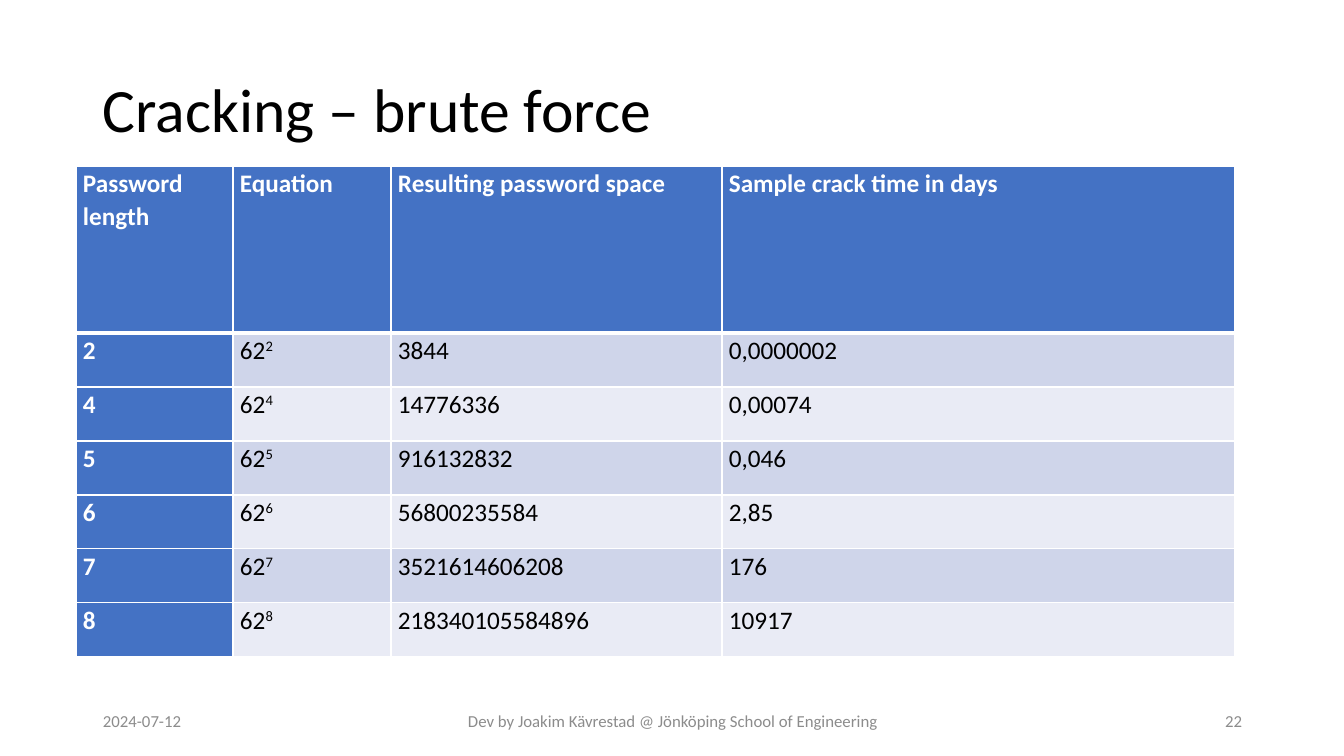
from lxml import etree
from pptx import Presentation
from pptx import util as u
from pptx.dml.color import RGBColor
from pptx.enum import text
from pptx.oxml.ns import qn

# Content
TITLE = "Cracking – brute force"
HEADERS = ["Password length", "Equation", "Resulting password space",
           "Sample crack time in days"]
ALPHABET = "62"
ROWS = [  # password length, password space, crack time
    ("2", "3844", "0,0000002"),
    ("4", "14776336", "0,00074"),
    ("5", "916132832", "0,046"),
    ("6", "56800235584", "2,85"),
    ("7", "3521614606208", "176"),
    ("8", "218340105584896", "10917"),
]
FOOTER = [  # text, left, width, alignment
    ("2024-07-12", 93, 302, text.PP_ALIGN.LEFT),
    ("Dev by Joakim Kävrestad @ Jönköping School of Engineering",
     446, 454, text.PP_ALIGN.CENTER),
    ("22", 950, 302, text.PP_ALIGN.RIGHT),
]

# Theme
THEME = {
    "font": "Calibri", "title_size": 44, "table_size": 18, "footer_size": 12,
    "ink": "000000", "muted": "8C8C8C", "accent": "4472C4", "white": "FFFFFF",
    "bands": ("CFD5EA", "E9EBF5"), "rule": 1, "header_rule": 3,
}

# Geometry in px
SLIDE = (1344, 756)
TITLE_BOX = (93, 40, 1159, 146)
FOOTER_TOP, FOOTER_HEIGHT = 701, 40
TABLE_LEFT, TABLE_TOP = 76, 166
COLUMNS = [157, 158, 331, 513]
HEADER_HEIGHT, ROW_HEIGHT = 167, 54
CELL_INSET = 7


def px(value):
    return u.Emu(round(value * 914400 / 100.8))


def set_all(target, values):
    for name, value in values.items():
        setattr(target, name, value)


def add_span(para, words, size, color, bold=False):
    span = para.add_run()
    span.text = words
    set_all(span.font, {"name": THEME["font"], "size": u.Pt(size), "bold": bold})
    span.font.color.rgb = RGBColor.from_string(color)
    return span


def add_label(page, place, words, size, color, **para_format):
    box = page.shapes.add_textbox(*map(px, place))
    set_all(box.text_frame, {"word_wrap": True,
                             "vertical_anchor": text.MSO_ANCHOR.MIDDLE})
    para = box.text_frame.paragraphs[0]
    set_all(para, para_format)
    add_span(para, words, size, color)


def add_borders(cell, widths):
    for side, width in widths.items():
        line = etree.SubElement(cell._tc.get_or_add_tcPr(), qn("a:ln" + side),
                                w=str(u.Pt(width)))
        fill = etree.SubElement(line, qn("a:solidFill"))
        etree.SubElement(fill, qn("a:srgbClr"), val=THEME["white"])


def fill_cell(cell, row, column, words):
    heading = row == 0 or column == 0
    rule, thick = THEME["rule"], THEME["header_rule"]
    add_borders(cell, {"L": rule, "R": rule,
                       "T": thick if row == 1 else rule,
                       "B": thick if row == 0 else rule})
    cell.fill.solid()
    cell.fill.fore_color.rgb = RGBColor.from_string(
        THEME["accent"] if heading else THEME["bands"][(row - 1) % 2])
    set_all(cell, {"margin_left": px(CELL_INSET), "margin_right": px(CELL_INSET),
                   "margin_top": 0, "margin_bottom": 0})
    para = cell.text_frame.paragraphs[0]
    para.line_spacing = 1.07
    color = THEME["white"] if heading else THEME["ink"]
    base, *exponent = words if isinstance(words, tuple) else (words,)
    add_span(para, base, THEME["table_size"], color, heading)
    for power in exponent:
        span = add_span(para, power, THEME["table_size"], color, heading)
        span.font._element.set("baseline", "30000")


def add_crack_table(page):
    grid = [HEADERS] + [(length, (ALPHABET, length), space, days)
                        for length, space, days in ROWS]
    heights = [HEADER_HEIGHT] + [ROW_HEIGHT] * len(ROWS)
    place = (TABLE_LEFT, TABLE_TOP, sum(COLUMNS), sum(heights))
    table = page.shapes.add_table(len(grid), len(COLUMNS), *map(px, place)).table
    set_all(table, {"first_row": True, "first_col": True, "horz_banding": True})
    for column, width in zip(table.columns, COLUMNS):
        column.width = px(width)
    for r, (values, height) in enumerate(zip(grid, heights)):
        table.rows[r].height = px(height)
        for c, words in enumerate(values):
            fill_cell(table.cell(r, c), r, c, words)


def main():
    deck = Presentation()
    deck.slide_width, deck.slide_height = map(px, SLIDE)
    page = deck.slides.add_slide(deck.slide_layouts[6])

    # Title
    add_label(page, TITLE_BOX, TITLE, THEME["title_size"], THEME["ink"],
              line_spacing=0.9)
    # Footer
    for words, left, width, alignment in FOOTER:
        add_label(page, (left, FOOTER_TOP, width, FOOTER_HEIGHT), words,
                  THEME["footer_size"], THEME["muted"], alignment=alignment)
    # Table
    add_crack_table(page)
    deck.save("out.pptx")


if __name__ == "__main__":
    main()
